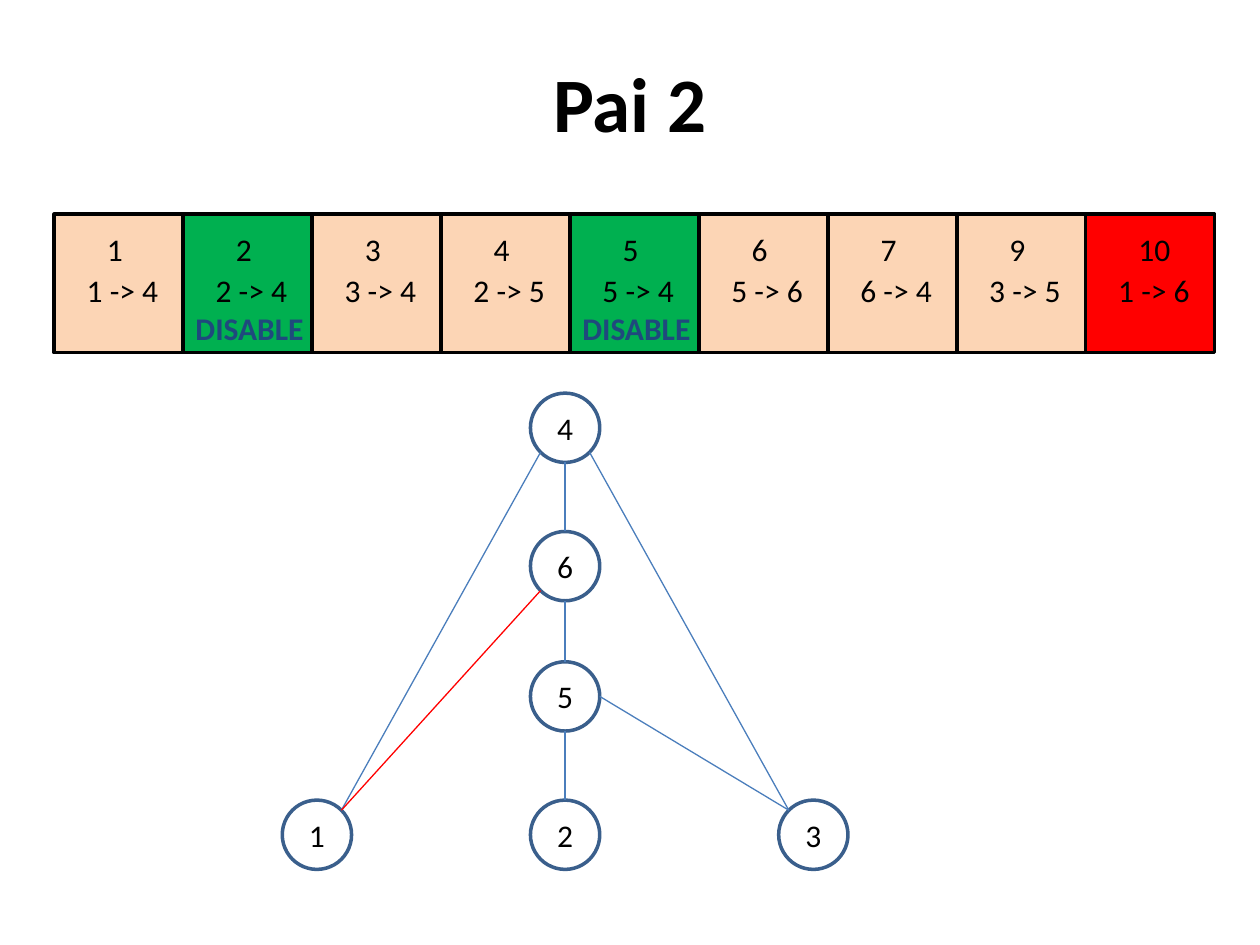
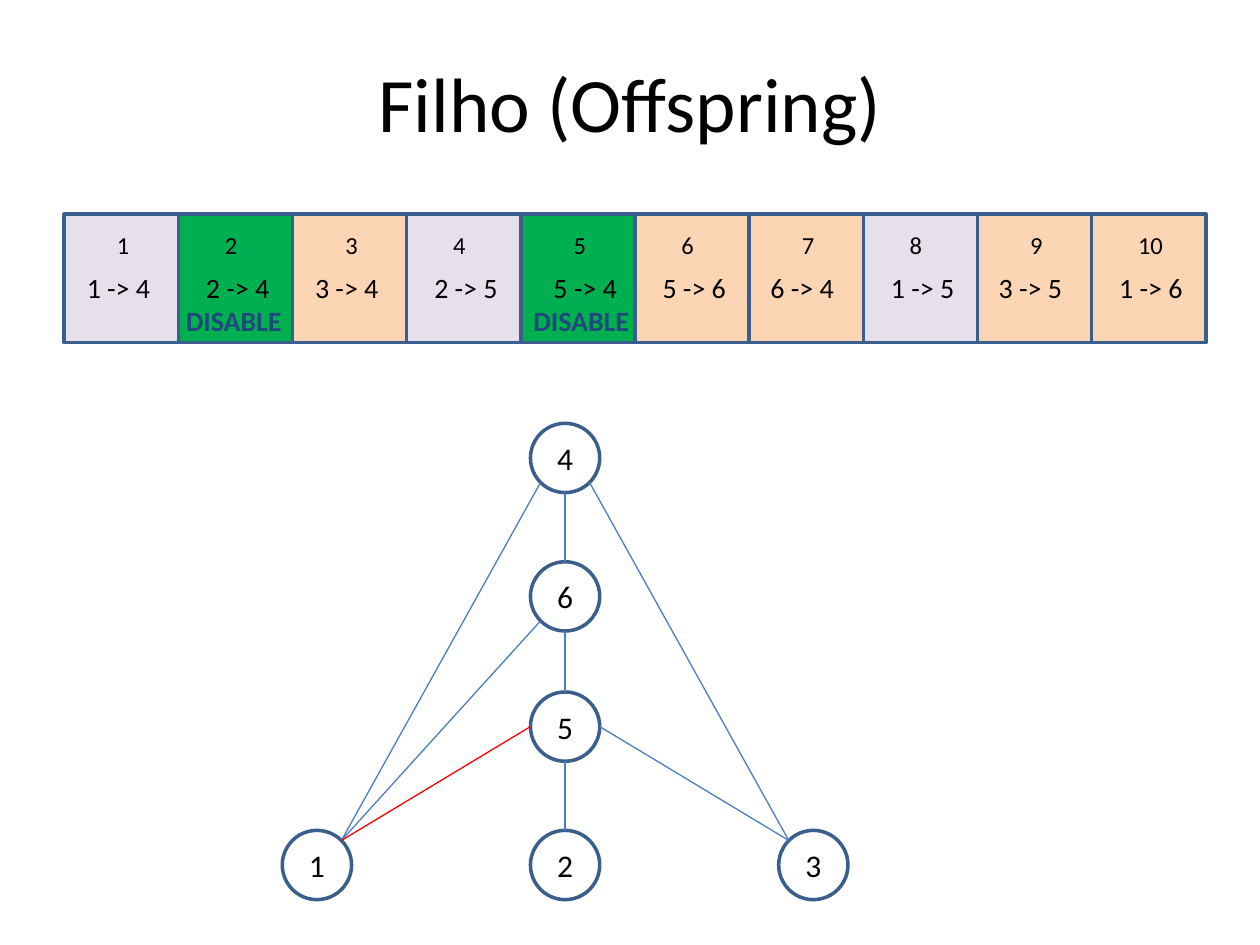
from collections import namedtuple
from math import cos, radians, sin

from lxml import etree
from pptx import Presentation
from pptx import util as u
from pptx.dml.color import RGBColor
from pptx.enum import shapes, text
from pptx.oxml.ns import qn

# Shared look; lengths are counted on a grid of 10 columns by 7.5 rows
FONT = "Calibri"
BLACK, WHITE, RED = "000000", "FFFFFF", "FF0000"
PEACH, LILAC, GREEN = "FCD5B5", "E6E0EC", "00B050"
NAVY, OUTLINE, EDGE = "1F497D", "3A5F8C", "4B7EBC"
COLUMNS, ROWS = 10, 7.5
NODE_SIZE = 0.55

Box = namedtuple("Box", "left top width height")
Gene = namedtuple("Gene", "number link fill")
# Sizes and tops of the three text lines in a genome, and their indents per cell
GenomeStyle = namedtuple("GenomeStyle", "outline number link disable")
Line = namedtuple("Line", "size top width height indents")

TITLE_BOX = Box(0.5, 0.3, 9, 1.01)

PARENT_GENES = [
    Gene("1", "1 -> 4", PEACH), Gene("2", "2 -> 4", GREEN),
    Gene("3", "3 -> 4", PEACH), Gene("4", "2 -> 5", PEACH),
    Gene("5", "5 -> 4", GREEN), Gene("6", "5 -> 6", PEACH),
    Gene("7", "6 -> 4", PEACH), Gene("9", "3 -> 5", PEACH),
    Gene("10", "1 -> 6", RED),
]
CHILD_GENES = [
    Gene("1", "1 -> 4", LILAC), Gene("2", "2 -> 4", GREEN),
    Gene("3", "3 -> 4", PEACH), Gene("4", "2 -> 5", LILAC),
    Gene("5", "5 -> 4", GREEN), Gene("6", "5 -> 6", PEACH),
    Gene("7", "6 -> 4", PEACH), Gene("8", "1 -> 5", LILAC),
    Gene("9", "3 -> 5", PEACH), Gene("10", "1 -> 6", PEACH),
]
PARENT_STYLE = GenomeStyle(
    BLACK,
    number=Line(18, 0.08, 0.47, 0.4, [0.32] * 9),
    link=Line(18, 0.4, 0.87, 0.4, [0.16] * 9),
    disable=Line(18, 0.7, 1.1, 0.4, [0] * 9),
)
CHILD_STYLE = GenomeStyle(
    OUTLINE,
    number=Line(14, 0.08, 0.47, 0.34, [0.32, 0.27] * 5),
    link=Line(16, 0.4, 0.71, 0.37,
              [0.08, 0.12, 0.08, 0.12, 0.16, 0.12, 0.07, 0.12, 0.07, 0.12]),
    disable=Line(16, 0.66, 1.18, 0.37, [-0.04] * 4 + [0] * 6),
)

# Node places as shares of the free width and height of the network box
NODES = {"4": (0.5, 0), "6": (0.5, 0.34), "5": (0.5, 0.66),
         "1": (0, 1), "2": (0.5, 1), "3": (1, 1)}
# Points on a node's rim, in degrees clockwise from the right
RIGHT, LOWER_RIGHT, BOTTOM, LOWER_LEFT, LEFT, UPPER_LEFT, TOP, UPPER_RIGHT = range(0, 360, 45)
COMMON_EDGES = [
    ("4", LOWER_LEFT, "1", UPPER_RIGHT, EDGE),
    ("4", LOWER_RIGHT, "3", UPPER_LEFT, EDGE),
    ("5", BOTTOM, "2", TOP, EDGE),
    ("5", TOP, "6", BOTTOM, EDGE),
    ("6", TOP, "4", BOTTOM, EDGE),
    ("3", UPPER_LEFT, "5", RIGHT, EDGE),
]


def rgb(hex_color):
    return RGBColor.from_string(hex_color)


def grid(*lengths):
    return [u.Inches(length) for length in lengths]


def style_text(frame, size, color=BLACK, bold=False, align=None):
    for paragraph in frame.paragraphs:
        paragraph.alignment = align
        for run in paragraph.runs:
            run.font.name, run.font.size = FONT, u.Pt(size)
            run.font.bold, run.font.color.rgb = bold, rgb(color)


def add_label(slide, box, words, size, **look):
    frame = slide.shapes.add_textbox(*grid(*box)).text_frame
    frame.word_wrap = True
    frame.margin_right = 0
    frame.text = words
    style_text(frame, size, **look)
    return frame


def add_outlined(slide, kind, box, fill, outline):
    shape = slide.shapes.add_shape(kind, *grid(*box))
    shape.shadow.inherit = False
    shape.fill.solid()
    shape.fill.fore_color.rgb = rgb(fill)
    shape.line.color.rgb = rgb(outline)
    shape.line.width = u.Pt(2)
    return shape


def add_title(slide, box, words, bold):
    frame = add_label(slide, box, words, 44, bold=bold, align=text.PP_ALIGN.CENTER)
    frame.margin_right = frame.margin_left
    frame.vertical_anchor = text.MSO_ANCHOR.MIDDLE


def add_genome(slide, box, genes, style):
    cell_width = box.width / len(genes)
    lefts = [box.left + i * cell_width for i in range(len(genes))]

    # Cells
    for left, gene in zip(lefts, genes):
        add_outlined(slide, shapes.MSO_SHAPE.RECTANGLE,
                     Box(left, box.top, cell_width, box.height), gene.fill, style.outline)

    # Number, link and disabled mark of each gene
    def add_line(i, line, words, **look):
        place = Box(lefts[i] + line.indents[i], box.top + line.top, line.width, line.height)
        add_label(slide, place, words, line.size, **look)

    for i, gene in enumerate(genes):
        add_line(i, style.number, gene.number)
        add_line(i, style.link, gene.link)
        if gene.fill == GREEN:
            add_line(i, style.disable, "DISABLE", color=NAVY, bold=True)


def add_network(slide, box, edges):
    corners = {name: (box.left + x * (box.width - NODE_SIZE),
                      box.top + y * (box.height - NODE_SIZE))
               for name, (x, y) in NODES.items()}

    def rim_point(name, angle):
        left, top = corners[name]
        radius = NODE_SIZE / 2
        return (left + radius * (1 + cos(radians(angle))),
                top + radius * (1 + sin(radians(angle))))

    # Nodes
    for name, (left, top) in corners.items():
        node = add_outlined(slide, shapes.MSO_SHAPE.FLOWCHART_CONNECTOR,
                            Box(left, top, NODE_SIZE, NODE_SIZE), WHITE, OUTLINE)
        node.text_frame.text = name
        node.text_frame.vertical_anchor = text.MSO_ANCHOR.MIDDLE
        style_text(node.text_frame, 18, align=text.PP_ALIGN.CENTER)

    # Edges run from rim to rim
    for start, start_angle, end, end_angle, color in edges:
        edge = slide.shapes.add_connector(
            shapes.MSO_CONNECTOR.STRAIGHT,
            *grid(*rim_point(start, start_angle), *rim_point(end, end_angle)))
        edge.line.color.rgb = rgb(color)
        edge.line.width = u.Pt(0.75)
        etree.SubElement(edge._element.spPr, qn("a:effectLst"))


def add_individual(deck, title, bold, genome_box, genes, style, network_top, new_edges):
    slide = deck.slides.add_slide(deck.slide_layouts[6])
    add_title(slide, TITLE_BOX, title, bold)
    add_genome(slide, genome_box, genes, style)
    add_network(slide, Box(2.24, network_top, 4.49, 3.78), COMMON_EDGES + new_edges)


def main():
    deck = Presentation()
    deck.slide_width, deck.slide_height = grid(COLUMNS, ROWS)
    add_individual(deck, "Pai 2", True, Box(0.43, 1.7, 9.21, 1.1),
                   PARENT_GENES, PARENT_STYLE, 3.12,
                   [("1", UPPER_RIGHT, "6", LOWER_LEFT, RED)])
    add_individual(deck, "Filho (Offspring)", False, Box(0.51, 1.7, 9.06, 1.02),
                   CHILD_GENES, CHILD_STYLE, 3.36,
                   [("1", UPPER_RIGHT, "6", LOWER_LEFT, EDGE),
                    ("1", UPPER_RIGHT, "5", LEFT, RED)])
    deck.save("out.pptx")


if __name__ == "__main__":
    main()
